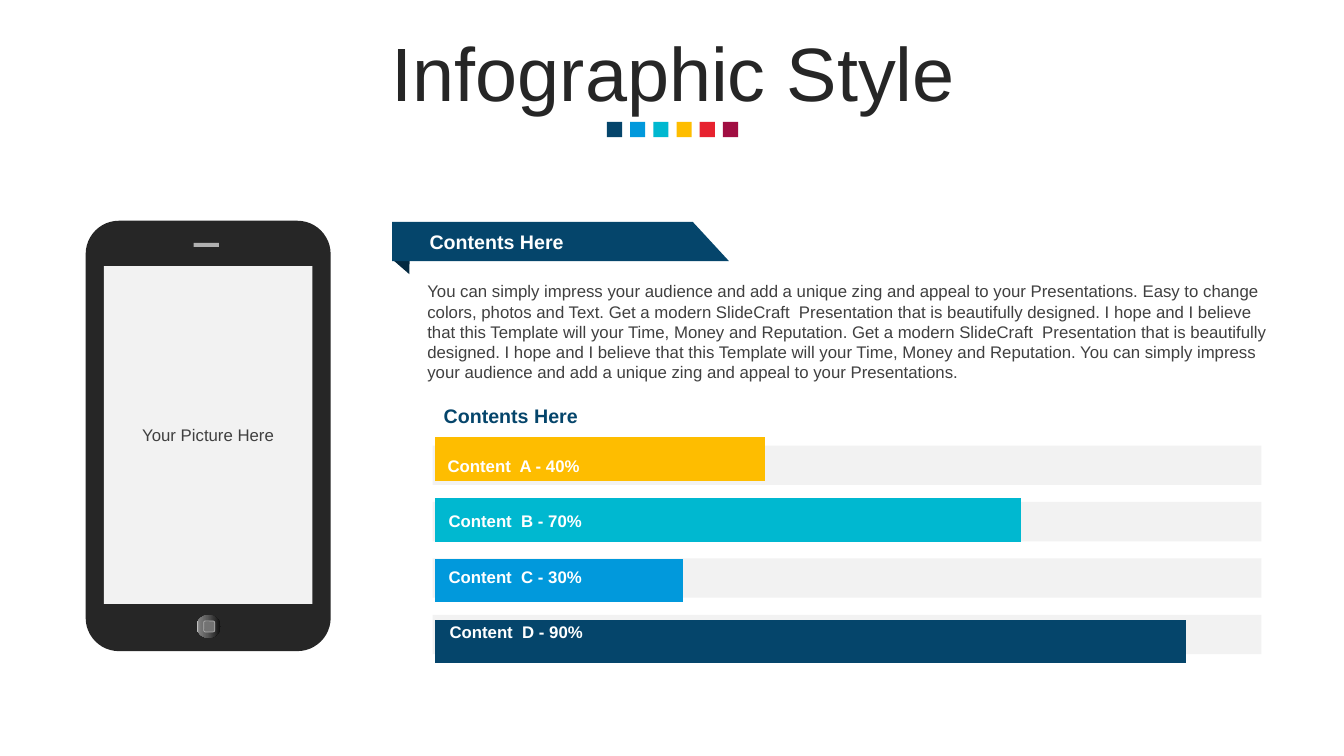
from dataclasses import dataclass
from typing import Optional

from lxml import etree
from pptx import Presentation
from pptx.chart.data import CategoryChartData
from pptx.dml.color import RGBColor
from pptx.enum.chart import XL_CHART_TYPE
from pptx.enum.shapes import MSO_SHAPE
from pptx.enum.text import MSO_ANCHOR, MSO_AUTO_SIZE, PP_ALIGN
from pptx.oxml import parse_xml
from pptx.oxml.ns import nsdecls, qn
from pptx.util import Inches, Pt

RECT = MSO_SHAPE.RECTANGLE
ROUND = MSO_SHAPE.ROUNDED_RECTANGLE
OVAL = MSO_SHAPE.OVAL
STACKED_BAR = XL_CHART_TYPE.BAR_STACKED
LEFT, CENTER = PP_ALIGN.LEFT, PP_ALIGN.CENTER
TOP, MIDDLE = MSO_ANCHOR.TOP, MSO_ANCHOR.MIDDLE
NO_AUTOFIT = MSO_AUTO_SIZE.NONE


@dataclass(frozen=True)
class Theme:
    font: str = "Arial"
    navy: str = "05456B"
    blue: str = "0199DC"
    teal: str = "00B8D0"
    yellow: str = "FEBD00"
    red: str = "E7222F"
    wine: str = "A10E42"
    fold: str = "032940"
    dark: str = "262626"
    text: str = "404040"
    home: str = "737373"
    metal: str = "B0B0B0"
    pale: str = "F2F2F2"
    white: str = "FFFFFF"
    title_size: int = 54
    heading_size: int = 14
    body_size: int = 12


T = Theme()


@dataclass(frozen=True)
class Box:
    left: float
    top: float
    width: float
    height: float

    def emu(self) -> tuple:
        return tuple(Inches(v) for v in (self.left, self.top, self.width, self.height))


@dataclass(frozen=True)
class Part:
    box: Box
    fill: str
    kind: int = RECT
    adj: Optional[float] = None


@dataclass(frozen=True)
class Label:
    box: Box
    text: str
    color: str
    size: int = T.body_size
    bold: bool = True
    anchor: int = MIDDLE
    inset: float = 0.1


@dataclass(frozen=True)
class Bar:
    category: str
    value: int
    color: str


PHONE = [
    Part(Box(0.85, 2.19, 2.43, 4.27), T.dark, ROUND, 0.136),
    Part(Box(1.92, 2.41, 0.25, 0.04), T.metal),
]
HOME_RING = Part(Box(1.95, 6.1, 0.24, 0.23), T.home, OVAL)
HOME_STOPS = [(0, "0F0F0F"), (56, "595959"), (91, "808080"), (100, "BFBFBF")]
HOME_ICON = Part(Box(2.02, 6.16, 0.11, 0.11), T.home, ROUND)
SCREEN = Part(Box(1.03, 2.64, 2.07, 3.35), T.pale)
SQUARES = [T.navy, T.blue, T.teal, T.yellow, T.red, T.wine]
FOLD = [(4.07, 2.22), (3.9, 2.21), (3.91, 2.59), (4.06, 2.72)]
RIBBON = [(3.89, 2.2), (6.87, 2.2), (7.23, 2.59), (3.89, 2.59)]
TRACK_TOP, TRACK_PITCH = 4.42, 0.56
BARS = [Bar("1", 100, T.navy), Bar("2", 33, T.blue),
        Bar("3", 78, T.teal), Bar("4", 44, T.yellow)]
BAR_LABELS = [(4.34, "Content  A - 40%"), (4.35, "Content  B - 70%"),
              (4.35, "Content  C - 30%"), (4.36, "Content  D - 90%")]
BODY = (
    "You can simply impress your audience and add a unique zing and appeal to your "
    "Presentations. Easy to change colors, photos and Text. Get a modern SlideCraft  "
    "Presentation that is beautifully designed. I hope and I believe that this Template "
    "will your Time, Money and Reputation. Get a modern SlideCraft  Presentation that is "
    "beautifully designed. I hope and I believe that this Template will your Time, Money "
    "and Reputation. You can simply impress your audience and add a unique zing and "
    "appeal to your Presentations."
)
LABELS = [
    Label(Box(4.14, 2.19, 2.52, 0.41), "Contents Here", T.white, T.heading_size, inset=0.12),
    Label(Box(4.28, 3.97, 1.91, 0.31), "Contents Here", T.navy, T.heading_size, inset=0.12),
    Label(Box(4.14, 2.74, 8.54, 1.11), BODY, T.text, bold=False, anchor=TOP),
]


def rgb(color: str) -> RGBColor:
    return RGBColor.from_string(color)


def paint(sp, color: str) -> None:
    sp.shadow.inherit = False
    sp.fill.solid()
    sp.fill.fore_color.rgb = rgb(color)
    sp.line.fill.background()


def add_part(s, part: Part):
    sp = s.shapes.add_shape(part.kind, *part.box.emu())
    if part.adj is not None:
        sp.adjustments[0] = part.adj
    paint(sp, part.fill)
    return sp


def add_polygon(s, points: list, color: str) -> None:
    corners = [(Inches(x), Inches(y)) for x, y in points]
    builder = s.shapes.build_freeform(*corners[0])
    builder.add_line_segments(corners[1:], close=True)
    paint(builder.convert_to_shape(), color)


def write(sp, text: str, color: str, size: int, bold: bool = False,
          align: int = LEFT, anchor: int = MIDDLE) -> None:
    tf = sp.text_frame
    tf.text = text
    tf.word_wrap = True
    tf.auto_size = NO_AUTOFIT
    tf.vertical_anchor = anchor
    p = tf.paragraphs[0]
    p.alignment = align
    font = p.runs[0].font
    font.name, font.size, font.bold = T.font, Pt(size), bold
    font.color.rgb = rgb(color)


def add_label(s, label: Label) -> None:
    sp = s.shapes.add_textbox(*label.box.emu())
    write(sp, label.text, label.color, label.size, label.bold, anchor=label.anchor)
    sp.text_frame.margin_left = Inches(label.inset)


def add_phone(s) -> None:
    for part in PHONE:
        add_part(s, part)
    ring = add_part(s, HOME_RING)
    ring.fill.gradient()
    ring.fill.gradient_angle = 180
    stops = next(ring.element.iter(qn("a:gsLst")))
    for stop in list(stops):
        stops.remove(stop)
    for position, color in HOME_STOPS:
        stop = etree.SubElement(stops, qn("a:gs"), pos=str(position * 1000))
        etree.SubElement(stop, qn("a:srgbClr"), val=color)
    icon = add_part(s, HOME_ICON)
    icon.line.color.rgb = rgb(T.metal)
    icon.line.width = Pt(0.5)
    screen = add_part(s, SCREEN)
    write(screen, "Your Picture Here", T.text, T.body_size, align=CENTER)


def add_bar_chart(s) -> None:
    data = CategoryChartData()
    data.categories = [bar.category for bar in BARS]
    data.add_series("Series 1", [bar.value for bar in BARS])
    box = Box(4.14, 4.2, 8.63, 2.52)
    chart = s.shapes.add_chart(STACKED_BAR, *box.emu(), data).chart
    chart.has_legend = chart.has_title = False
    chart.font.name, chart.font.size = T.font, Pt(T.body_size)
    chart.font.color.rgb = rgb(T.text)
    chart.category_axis.visible = chart.value_axis.visible = False
    chart.value_axis.has_major_gridlines = False
    chart.value_axis.minimum_scale, chart.value_axis.maximum_scale = 0, 110
    plot = chart.plots[0]
    plot.gap_width, plot.overlap, plot.vary_by_categories = 40, 100, False
    for i, bar in enumerate(BARS):
        fill = plot.series[0].points[i].format.fill
        fill.solid()
        fill.fore_color.rgb = rgb(bar.color)
    area = next(chart.element.iter(qn("c:plotArea")))
    for old in area.findall(qn("c:layout")):
        area.remove(old)
    area.insert(0, parse_xml(
        f'<c:layout {nsdecls("c")}><c:manualLayout><c:layoutTarget val="inner"/>'
        '<c:xMode val="edge"/><c:yMode val="edge"/><c:x val="0.02"/><c:y val="0.02"/>'
        '<c:w val="0.95"/><c:h val="0.96"/></c:manualLayout></c:layout>'))


def main() -> None:
    prs = Presentation()
    prs.slide_width, prs.slide_height = Inches(13.33), Inches(7.5)
    s = prs.slides.add_slide(prs.slide_layouts[5])
    title = s.shapes.title
    title.left, title.top, title.width, title.height = Box(0.35, 0.37, 12.66, 0.79).emu()
    write(title, "Infographic Style", T.dark, T.title_size, align=CENTER)
    title.text_frame.paragraphs[0].line_spacing = 0.9
    add_phone(s)
    for i, color in enumerate(SQUARES):
        add_part(s, Part(Box(6.02 + 0.23 * i, 1.21, 0.15, 0.15), color))
    add_polygon(s, FOLD, T.fold)
    add_polygon(s, RIBBON, T.navy)
    for i in range(len(BARS)):
        add_part(s, Part(Box(4.29, TRACK_TOP + TRACK_PITCH * i, 8.22, 0.39), T.pale))
    add_bar_chart(s)
    for i, (left, text) in enumerate(BAR_LABELS):
        add_label(s, Label(Box(left, 4.47 + 0.55 * i, 1.71, 0.3), text, T.white))
    for label in LABELS:
        add_label(s, label)
    prs.save("out.pptx")


if __name__ == "__main__":
    main()
